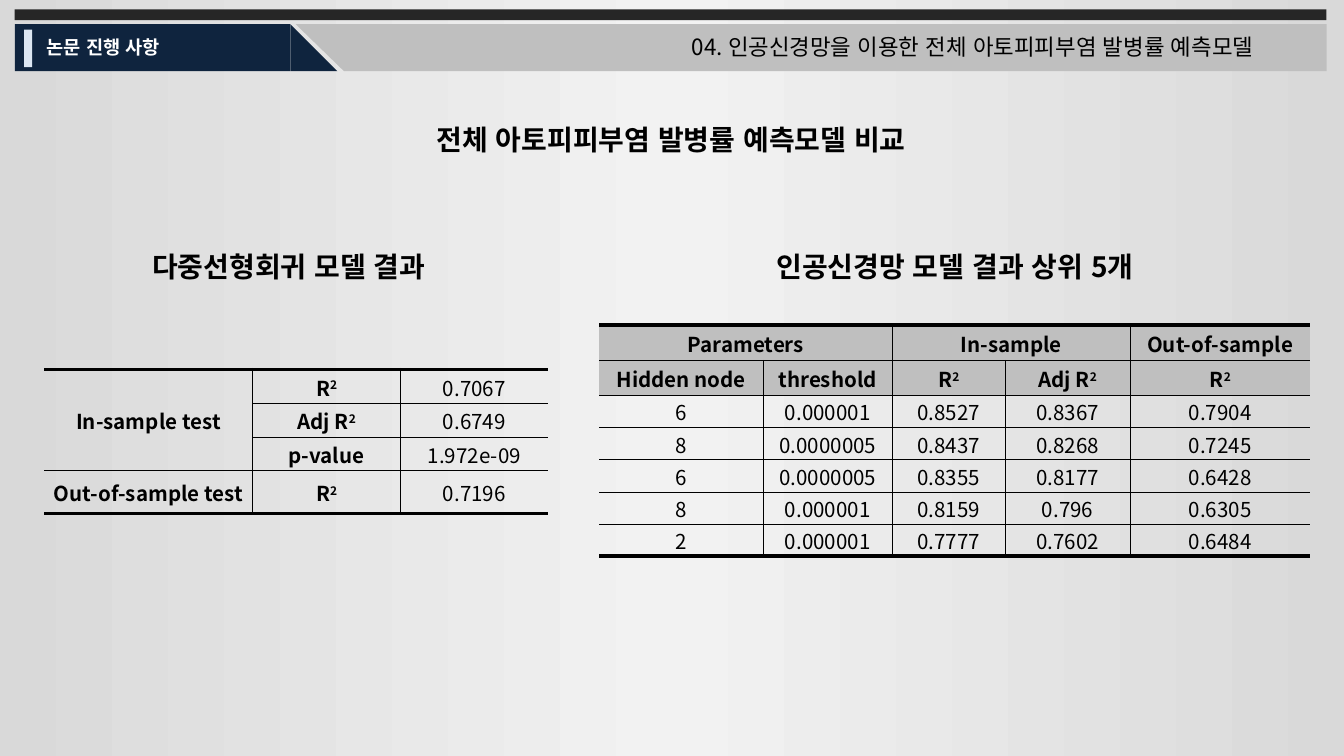
from copy import deepcopy

from lxml import etree
from pptx import Presentation
from pptx import util as u
from pptx.dml.color import RGBColor
from pptx.enum import shapes, text
from pptx.oxml.ns import qn

PX = u.Inches(1) // 100
FONT = "Noto Sans CJK KR"
COLORS = {
    "black": "000000", "white": "FFFFFF", "bar": "262626", "navy": "0F243E",
    "gray": "BFBFBF", "accent": "DCE6F2", "edge": "D9D9D9", "middle": "F2F2F2",
}
THIN, THICK = 0.28, 2.25
RECT = shapes.MSO_SHAPE.RECTANGLE
TRIANGLE = shapes.MSO_SHAPE.RIGHT_TRIANGLE

REGRESSION = [
    ["In-sample test", "R^2", "0.7067"],
    [None, "Adj R^2", "0.6749"],
    [None, "p-value", "1.972e-09"],
    ["Out-of-sample test", "R^2", "0.7196"],
]
NETWORK = [
    ["Parameters", None, "In-sample", None, "Out-of-sample"],
    ["Hidden node", "threshold", "R^2", "Adj R^2", "R^2"],
    ["6", "0.000001", "0.8527", "0.8367", "0.7904"],
    ["8", "0.0000005", "0.8437", "0.8268", "0.7245"],
    ["6", "0.0000005", "0.8355", "0.8177", "0.6428"],
    ["8", "0.000001", "0.8159", "0.796", "0.6305"],
    ["2", "0.000001", "0.7777", "0.7602", "0.6484"],
]


def rgb(name):
    return RGBColor.from_string(COLORS[name])


def emu(*lengths):
    return [length * PX for length in lengths]


def write(frame, words, size=11, bold=False, color="black", center=True):
    """Fill a text frame; what follows ^ is set as superscript."""
    para = frame.paragraphs[0]
    para.alignment = text.PP_ALIGN.CENTER if center else text.PP_ALIGN.LEFT
    for index, part in enumerate(words.split("^")):
        span = para.add_run()
        span.text = part
        span.font.size = u.Pt(size)
        span.font.bold = bold
        span.font.name = FONT
        span.font.color.rgb = rgb(color)
        props = span._r.get_or_add_rPr()
        props.set("lang", "ko-KR")
        props.set("kern", "0")
        etree.SubElement(props, qn("a:ea")).set("typeface", FONT)
        if index:
            props.set("baseline", "30000")


def add_text(page, box, words, wrap=True, **style):
    frame = page.shapes.add_textbox(*emu(*box)).text_frame
    frame.word_wrap = wrap
    write(frame, words, **style)


def add_block(parent, kind, box, color, rotation=0):
    block = parent.shapes.add_shape(kind, *emu(*box))
    block.shadow.inherit = False
    block.fill.solid()
    block.fill.fore_color.rgb = rgb(color)
    block.line.fill.background()
    block.rotation = rotation


def set_background(page):
    fill = page.background.fill
    fill.gradient()
    fill.gradient_angle = 0
    first, last = fill.gradient_stops
    for stop, position in ((first, 0), (last, 1)):
        stop.position = position
        stop.color.rgb = rgb("edge")
    first._gs.addnext(deepcopy(first._gs))
    middle = fill.gradient_stops[1]
    middle.position = 0.5
    middle.color.rgb = rgb("middle")


def add_header(page, box):
    left, top, width, height = box
    band = top + 11
    add_block(page, RECT, (left, top, width, 8), "bar")
    add_block(page, RECT, (left, band, 205, height), "navy")
    add_block(page, TRIANGLE, (left + 205, band, height, height), "navy")
    group = page.shapes.add_group_shape()
    add_block(group, RECT, (left + 245, band, width - 245, height), "gray", rotation=180)
    add_block(group, TRIANGLE, (left + 209, band, height + 1, height), "gray", rotation=180)
    add_block(page, RECT, (left + 7, band + 4, 6, 28), "accent")
    add_text(page, (left + 14, band + 4, 113, 27), "논문 진행 사항",
             size=10, bold=True, color="white", center=False)
    add_text(page, (left + 494, band + 2, 482, 30),
             "04. 인공신경망을 이용한 전체 아토피피부염 발병률 예측모델",
             size=12, wrap=False, center=False)


def add_title(page, box, words):
    title = page.shapes.title
    title.left, title.top, title.width, title.height = emu(*box)
    frame = title.text_frame
    frame.word_wrap = True
    frame.auto_size = text.MSO_AUTO_SIZE.NONE
    frame.vertical_anchor = text.MSO_ANCHOR.TOP
    write(frame, words, size=15, bold=True)


def set_borders(cell, **widths):
    """Draw the sides L, R, T and B in points; 0 hides a side."""
    props = cell._tc.get_or_add_tcPr()
    for side, width in widths.items():
        line = etree.SubElement(props, qn(f"a:ln{side}"), w=str(u.Pt(width)))
        if width:
            fill = etree.SubElement(line, qn("a:solidFill"))
            etree.SubElement(fill, qn("a:srgbClr"), val=COLORS["black"])
        else:
            etree.SubElement(line, qn("a:noFill"))


def add_grid(page, corner, widths, heights, rows, merges, is_bold, shaded_rows=0):
    """Place a table with thick top and bottom rules and open sides."""
    box = (*corner, sum(widths), sum(heights))
    table = page.shapes.add_table(len(rows), len(widths), *emu(*box)).table
    table.first_row = table.horz_banding = False
    for column, width in zip(table.columns, widths):
        column.width = width * PX
    for row, height in zip(table.rows, heights):
        row.height = height * PX
    for start, end in merges:
        table.cell(*start).merge(table.cell(*end))
    last_row, last_column = len(rows) - 1, len(widths) - 1
    for r, row in enumerate(rows):
        for c, words in enumerate(row):
            cell = table.cell(r, c)
            cell.margin_left = cell.margin_right = cell.margin_top = PX
            cell.margin_bottom = 0
            cell.vertical_anchor = text.MSO_ANCHOR.MIDDLE
            set_borders(cell,
                        L=THIN if c else 0,
                        R=THIN if c < last_column else 0,
                        T=THIN if r else THICK,
                        B=THIN if r < last_row else THICK)
            if r < shaded_rows:
                cell.fill.solid()
                cell.fill.fore_color.rgb = rgb("gray")
            else:
                cell.fill.background()
            if words:
                write(cell.text_frame, words, bold=is_bold(r, c))


def add_regression(page, left, top):
    add_text(page, (left + 60, top, 244, 35), "다중선형회귀 모델 결과", size=15, bold=True)
    add_grid(page, (left, top + 94), [155, 110, 110], [25, 25, 25, 32], REGRESSION,
             merges=[((0, 0), (2, 0))], is_bold=lambda r, c: c < 2)


def add_network(page, left, top):
    add_text(page, (left + 107, top, 315, 35), "인공신경망 모델 결과 상위 5개", size=15, bold=True)
    add_grid(page, (left, top + 61), [122, 96, 84, 93, 134], [26] * 2 + [24] * 5, NETWORK,
             merges=[((0, 0), (0, 1)), ((0, 2), (0, 3))],
             is_bold=lambda r, c: r < 2, shaded_rows=2)


def main():
    deck = Presentation()
    deck.slide_width = 1000 * PX
    deck.slide_height = deck.slide_width * 9 // 16
    page = deck.slides.add_slide(deck.slide_layouts[5])
    set_background(page)
    add_header(page, (11, 7, 976, 35))
    add_title(page, (235, 86, 529, 35), "전체 아토피피부염 발병률 예측모델 비교")
    add_regression(page, 33, 181)
    add_network(page, 446, 181)
    deck.save("out.pptx")


if __name__ == "__main__":
    main()
